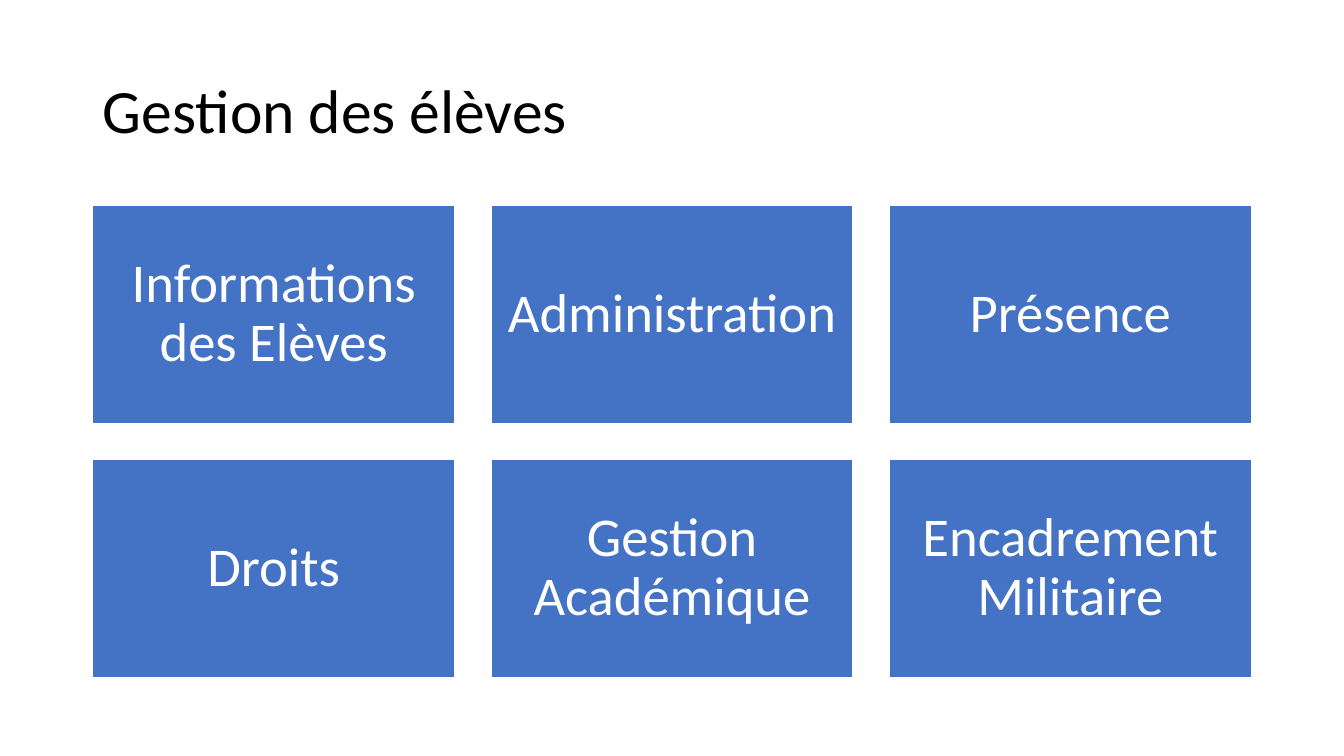
from dataclasses import dataclass

from pptx import Presentation
from pptx.dml.color import RGBColor
from pptx.enum.shapes import MSO_SHAPE
from pptx.enum.text import MSO_ANCHOR, PP_ALIGN
from pptx.util import Inches, Pt

HEADING = "Gestion des élèves"
MODULES = [
    "Informations des Elèves",
    "Administration",
    "Présence",
    "Droits",
    "Gestion Académique",
    "Encadrement Militaire",
]


@dataclass(frozen=True)
class Theme:
    font: str = "Calibri"
    ink: RGBColor = RGBColor(0x00, 0x00, 0x00)
    tile: RGBColor = RGBColor(0x44, 0x72, 0xC4)
    white: RGBColor = RGBColor(0xFF, 0xFF, 0xFF)
    heading_size: int = 44
    module_size: int = 39


THEME = Theme()
COLUMNS = 3
LEFT, TOP = 0.92, 2.04
TILE_WIDTH, TILE_HEIGHT, GAP = 3.59, 2.16, 0.36


def write(frame, text, *, size, color, align=PP_ALIGN.LEFT, inset=None):
    frame.word_wrap = True
    frame.vertical_anchor = MSO_ANCHOR.MIDDLE
    if inset is not None:
        frame.margin_left = frame.margin_right = Inches(inset)
        frame.margin_top = frame.margin_bottom = Inches(inset)
    paragraph = frame.paragraphs[0]
    paragraph.alignment = align
    paragraph.line_spacing = 0.9
    run = paragraph.add_run()
    run.text = text
    run.font.name = THEME.font
    run.font.size = Pt(size)
    run.font.color.rgb = color


def add_module(slide, index, module):
    row, column = divmod(index, COLUMNS)
    tile = slide.shapes.add_shape(
        MSO_SHAPE.RECTANGLE,
        Inches(LEFT + column * (TILE_WIDTH + GAP)),
        Inches(TOP + row * (TILE_HEIGHT + GAP)),
        Inches(TILE_WIDTH),
        Inches(TILE_HEIGHT),
    )
    tile.shadow.inherit = False
    tile.fill.solid()
    tile.fill.fore_color.rgb = THEME.tile
    tile.line.color.rgb = THEME.white
    tile.line.width = Pt(1)
    write(tile.text_frame, module, size=THEME.module_size,
          color=THEME.white, align=PP_ALIGN.CENTER, inset=0.15)


def main():
    presentation = Presentation()
    presentation.slide_width = Inches(13.33)
    presentation.slide_height = Inches(7.5)
    slide = presentation.slides.add_slide(presentation.slide_layouts[5])

    heading = slide.shapes.title
    heading.left, heading.top = Inches(LEFT), Inches(0.4)
    heading.width, heading.height = Inches(11.5), Inches(1.45)
    write(heading.text_frame, HEADING, size=THEME.heading_size, color=THEME.ink)

    for index, module in enumerate(MODULES):
        add_module(slide, index, module)

    presentation.save("out.pptx")


if __name__ == "__main__":
    main()
